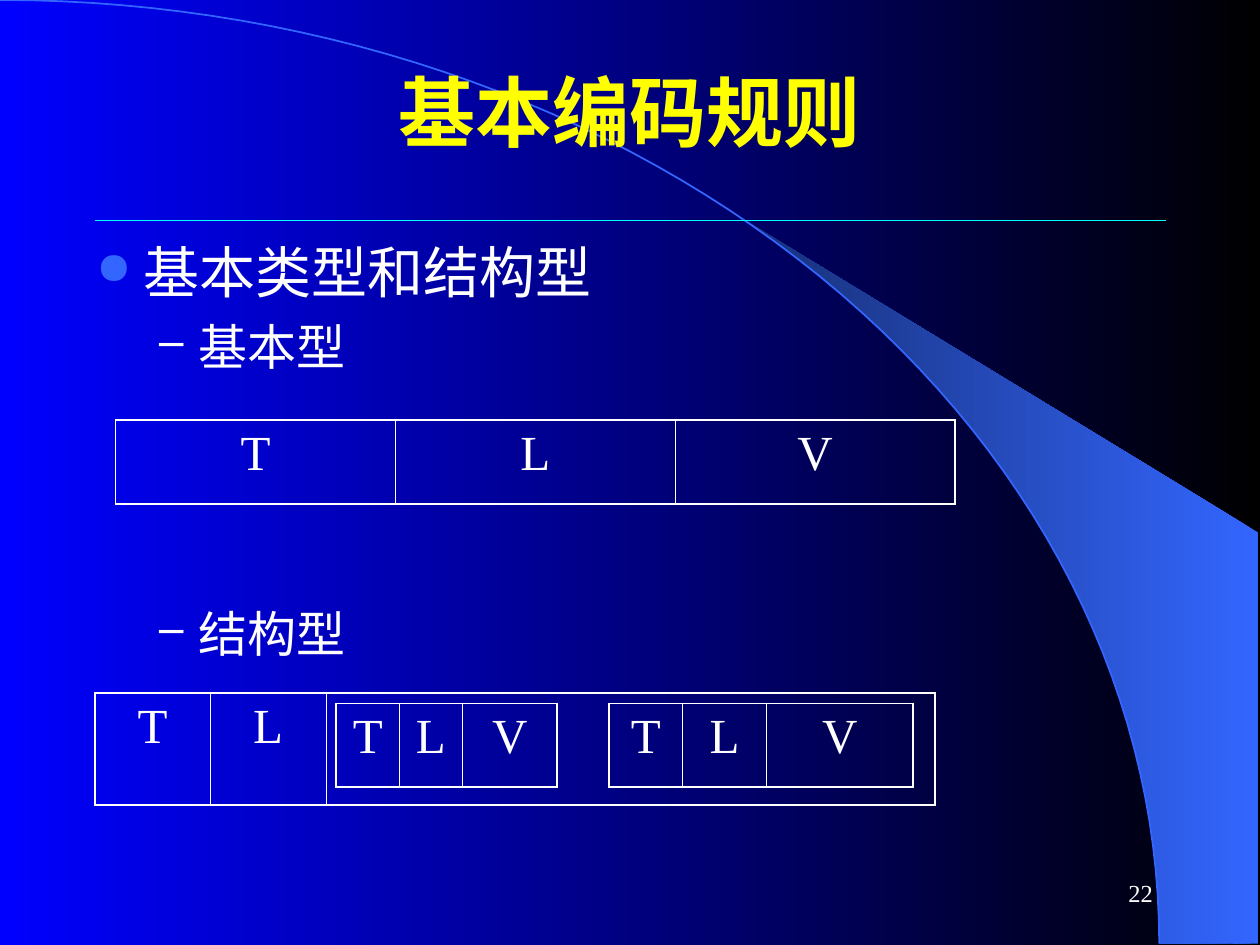
import math
from dataclasses import dataclass

from lxml import etree
from pptx import Presentation
from pptx.dml.color import RGBColor
from pptx.enum.shapes import MSO_CONNECTOR
from pptx.enum.text import MSO_ANCHOR, PP_ALIGN
from pptx.oxml.ns import qn
from pptx.util import Cm, Pt

STRAIGHT = MSO_CONNECTOR.STRAIGHT
MIDDLE, TOP = MSO_ANCHOR.MIDDLE, MSO_ANCHOR.TOP
LEFT, CENTER, RIGHT = PP_ALIGN.LEFT, PP_ALIGN.CENTER, PP_ALIGN.RIGHT


@dataclass(frozen=True)
class Theme:
    black: str = "000000"
    blue: str = "0000FF"
    accent: str = "3366FF"
    shade: str = "172F75"
    rule: str = "00FFFF"
    title: str = "FFFF00"
    text: str = "FFFFFF"
    heading_font: str = "Arial"
    body_font: str = "Times New Roman"
    title_size: int = 44
    topic_size: int = 32
    text_size: int = 28
    number_size: int = 14
    outer_border: float = 1.08
    inner_border: float = 0.45


THEME = Theme()


def rgb(color):
    return RGBColor.from_string(color)


def fill_right_to_left(fill, right, left):
    fill.gradient()
    fill.gradient_angle = 180
    for stop, color in zip(fill.gradient_stops, (right, left)):
        stop.color.rgb = rgb(color)


def style(paragraph, size, color=THEME.text, font=THEME.body_font, bold=False):
    for run in paragraph.runs:
        run.font.size = Pt(size)
        run.font.name = font
        run.font.bold = bold
        run.font.color.rgb = rgb(color)


def add_outline(slide, points, close):
    corners = [(Cm(x), Cm(y)) for x, y in points]
    builder = slide.shapes.build_freeform(*corners[0])
    builder.add_line_segments(corners[1:], close=close)
    outline = builder.convert_to_shape()
    outline.shadow.inherit = False
    return outline


def add_backdrop(slide, width, height):
    """Quarter ellipse from the top left corner, with a wedge outside it."""
    radius_x, tangent_angle, wedge_right_y = 23.37, 39.8, 10.74

    def arc(start, steps=60):
        angles = [math.radians(start + (90 - start) * i / steps) for i in range(steps + 1)]
        return [(radius_x * math.sin(a), height * (1 - math.cos(a))) for a in angles]

    wedge = add_outline(
        slide, arc(tangent_angle) + [(width, height), (width, wedge_right_y)], True)
    fill_right_to_left(wedge.fill, THEME.accent, THEME.shade)
    wedge.line.fill.background()

    curve = add_outline(slide, arc(0), False)
    curve.fill.background()
    curve.line.color.rgb = rgb(THEME.accent)
    curve.line.width = Pt(1)


def add_rule(slide, left, top, width):
    rule = slide.shapes.add_connector(STRAIGHT, Cm(left), Cm(top), Cm(left + width), Cm(top))
    rule.line.color.rgb = rgb(THEME.rule)
    rule.line.width = Pt(0.75)
    etree.SubElement(rule._element.spPr, qn("a:effectLst"))


def add_text(slide, box, text, align=LEFT, anchor=TOP):
    frame = slide.shapes.add_textbox(*map(Cm, box)).text_frame
    frame.word_wrap = True
    frame.vertical_anchor = anchor
    frame.text = text
    for paragraph in frame.paragraphs:
        paragraph.alignment = align
    return frame.paragraphs


def add_bullet(paragraph, char, color, percent, margin, hanging):
    props = paragraph._p.get_or_add_pPr()
    props.set("marL", str(Cm(margin)))
    props.set("indent", str(-Cm(hanging)))
    bullet_color = etree.SubElement(props, qn("a:buClr"))
    etree.SubElement(bullet_color, qn("a:srgbClr"), val=color)
    etree.SubElement(props, qn("a:buSzPct"), val=str(percent * 1000))
    etree.SubElement(props, qn("a:buChar"), char=char)


def add_outline_text(slide, box):
    topic, basic, structured = add_text(slide, box, "基本类型和结构型\n基本型\n结构型")
    add_bullet(topic, "●", THEME.accent, 80, 0.95, 0.95)
    style(topic, THEME.topic_size)
    for kind, gap in ((basic, 7), (structured, 130)):
        add_bullet(kind, "–", THEME.text, 90, 2.06, 0.79)
        kind.level = 1
        kind.space_before = Pt(gap)
        style(kind, THEME.text_size)


def add_borders(cell, first, last):
    outer, inner = THEME.outer_border, THEME.inner_border
    sides = {"lnL": outer if first else inner, "lnR": outer if last else inner,
             "lnT": outer, "lnB": outer}
    props = cell._tc.get_or_add_tcPr()
    for position, (side, weight) in enumerate(sides.items()):
        border = etree.Element(qn(f"a:{side}"), w=str(Pt(weight)))
        solid = etree.SubElement(border, qn("a:solidFill"))
        etree.SubElement(solid, qn("a:srgbClr"), val=THEME.text)
        props.insert(position, border)


def add_fields(slide, left, top, height, widths, labels="TLV"):
    """One-row table of encoding fields."""
    table = slide.shapes.add_table(
        1, len(widths), Cm(left), Cm(top), Cm(sum(widths)), Cm(height)).table
    table.first_row = table.horz_banding = False
    table.rows[0].height = Cm(height)
    for i, (width, label) in enumerate(zip(widths, labels)):
        table.columns[i].width = Cm(width)
        cell = table.cell(0, i)
        cell.text = label
        cell.fill.background()
        add_borders(cell, i == 0, i == len(widths) - 1)
        paragraph = cell.text_frame.paragraphs[0]
        paragraph.alignment = CENTER
        style(paragraph, THEME.text_size)


def add_structured_fields(slide, left, top):
    """Outer fields whose value holds two inner groups of fields."""
    add_fields(slide, left, top, 2.26, (2.33, 2.33, 12.28), ("T", "L", ""))
    for offset, widths in ((4.87, (1.27, 1.27, 1.91)), (10.37, (1.48, 1.69, 2.96))):
        add_fields(slide, left + offset, top + 0.21, 1.69, widths)


def main():
    deck = Presentation()
    deck.slide_width, deck.slide_height = Cm(25.4), Cm(19.05)
    slide = deck.slides.add_slide(deck.slide_layouts[6])
    fill_right_to_left(slide.background.fill, THEME.black, THEME.blue)

    add_backdrop(slide, 25.37, 19.02)
    add_rule(slide, 1.91, 4.44, 21.59)
    title = add_text(slide, (1.91, 0.64, 21.59, 3.18), "基本编码规则", CENTER, MIDDLE)[0]
    style(title, THEME.title_size, THEME.title, THEME.heading_font, True)
    add_outline_text(slide, (1.69, 4.66, 21.8, 12.28))
    add_fields(slide, 2.33, 8.47, 1.69, (5.64,) * 3)
    add_structured_fields(slide, 1.91, 13.97)
    number = add_text(slide, (18.2, 17.36, 5.29, 1.27), "22", RIGHT, MIDDLE)[0]
    style(number, THEME.number_size)

    deck.save("out.pptx")


if __name__ == "__main__":
    main()
